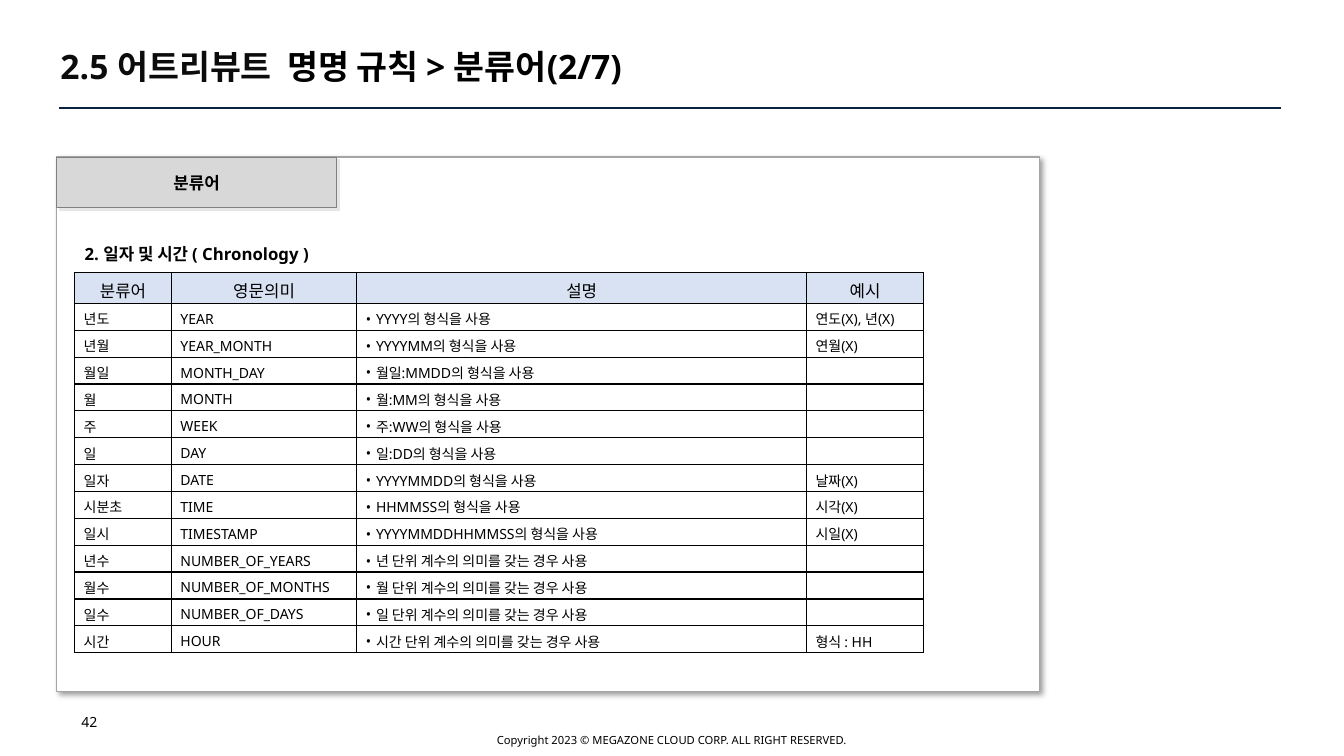
from lxml import etree
from pptx import Presentation
from pptx.dml.color import RGBColor
from pptx.enum.shapes import MSO_CONNECTOR, MSO_SHAPE
from pptx.enum.text import MSO_ANCHOR, MSO_AUTO_SIZE, PP_ALIGN
from pptx.oxml.ns import qn
from pptx.util import Inches, Pt

LEFT, CENTER = PP_ALIGN.LEFT, PP_ALIGN.CENTER
TOP, MIDDLE = MSO_ANCHOR.TOP, MSO_ANCHOR.MIDDLE
GROW, FIXED = MSO_AUTO_SIZE.SHAPE_TO_FIT_TEXT, MSO_AUTO_SIZE.NONE
STRAIGHT = MSO_CONNECTOR.STRAIGHT
ROUND, RECT = MSO_SHAPE.ROUNDED_RECTANGLE, MSO_SHAPE.RECTANGLE
BLACK = RGBColor(0x00, 0x00, 0x00)
INK = RGBColor(0x0C, 0x0C, 0x0C)
WHITE = RGBColor(0xFF, 0xFF, 0xFF)
NAVY = RGBColor(0x0A, 0x23, 0x42)
EDGE = RGBColor(0xA5, 0xA5, 0xA5)
GRAY = RGBColor(0xD8, 0xD8, 0xD8)
RIM = RGBColor(0x80, 0x80, 0x80)
SHADE = RGBColor(0xE7, 0xE6, 0xE6)
BLUE = RGBColor(0xD8, 0xE2, 0xF3)
LATIN, HANGUL = "Noto Sans", "Noto Sans CJK KR"


def write(para, text, size, bold=False, color=BLACK):
    run = para.add_run()
    run.text = text
    look = {"name": LATIN, "size": Pt(size), "bold": bold}
    for key, value in look.items():
        setattr(run.font, key, value)
    run.font.color.rgb = color
    east = etree.Element(qn("a:ea"), typeface=HANGUL)
    run.font._element.find(qn("a:latin")).addnext(east)


def indent(para):
    props = para._p.get_or_add_pPr()
    props.set("marL", str(Inches(0.1)))
    props.set("indent", str(-Inches(0.1)))
    return props


deck = Presentation()
deck.slide_width, deck.slide_height = Inches(13.33), Inches(7.5)
slide = deck.slides.add_slide(deck.slide_layouts[6])
shapes = slide.shapes

# Rule under the title
rule = shapes.add_connector(STRAIGHT, Inches(0.59), Inches(1.07), Inches(12.71), Inches(1.07))
rule.line.color.rgb = NAVY
rule.line.width = Pt(1.5)
etree.SubElement(rule._element.spPr, qn("a:effectLst"))

# Panel and its tag: kind, width, height, fill, line, shadow colour, opacity, blur, distance
boxes = [
    (ROUND, 9.75, 5.3, WHITE, EDGE, 1, BLACK, 40, 4, 3),
    (RECT, 2.78, 0.5, GRAY, RIM, 0.75, SHADE, 100, 0, 2.8),
]
for kind, width, height, fill, line, weight, shade, alpha, blur, dist in boxes:
    box = shapes.add_shape(kind, Inches(0.56), Inches(1.56), Inches(width), Inches(height))
    if kind == ROUND:
        box.adjustments[0] = 0
    box.fill.solid()
    box.fill.fore_color.rgb = fill
    box.line.color.rgb = line
    box.line.width = Pt(weight)
    box.shadow.inherit = False
    effect = box._element.spPr.find(qn("a:effectLst"))
    outer = etree.SubElement(effect, qn("a:outerShdw"), blurRad=str(Pt(blur)), dist=str(Pt(dist)),
                             dir="2700000", algn="tl", rotWithShape="0")
    tint = etree.SubElement(outer, qn("a:srgbClr"), val=str(shade))
    etree.SubElement(tint, qn("a:alpha"), val=str(alpha * 1000))

# Tag text goes in the last box
frame = box.text_frame
frame.word_wrap = True
frame.vertical_anchor = MIDDLE
frame.margin_left = frame.margin_right = 0
para = frame.paragraphs[0]
para.alignment = CENTER
indent(para)
write(para, "분류어", 12, True)

# Title, heading, page number and footer
labels = [
    ((0.6, 0.48, 12.11, 0.4), MIDDLE, FIXED, 0, LEFT, 0.9, 24, True,
     [("2.5 어트리뷰트  ", INK), ("명명 규칙 > 분류어(2/7)", BLACK)]),
    ((0.74, 2.37, 5.21, 0.3), TOP, GROW, 0.1, LEFT, 1, 12, True,
     [("2. 일자 및 시간 ( Chronology )", BLACK)]),
    ((0.71, 7.03, 3.69, 0.4), TOP, FIXED, 0.1, LEFT, 1, 10, False, [("42", BLACK)]),
    ((4.32, 7.13, 4.69, 0.3), MIDDLE, GROW, 0.1, CENTER, 2, 8, False,
     [("Copyright 2023 © MEGAZONE CLOUD CORP. ALL RIGHT RESERVED.", BLACK)]),
]
for place, anchor, fit, inset, align, space, size, bold, parts in labels:
    frame = shapes.add_textbox(*map(Inches, place)).text_frame
    look = {
        "word_wrap": True, "auto_size": fit, "vertical_anchor": anchor,
        "margin_left": Inches(inset), "margin_right": Inches(inset),
        "margin_top": Inches(inset / 2), "margin_bottom": Inches(inset / 2),
    }
    for key, value in look.items():
        setattr(frame, key, value)
    para = frame.paragraphs[0]
    para.alignment = align
    para.line_spacing = space
    for text, color in parts:
        write(para, text, size, bold, color)

# Table of date and time terms
FORM = "의 형식을 사용"
UNIT = " 단위 계수의 의미를 갖는 경우 사용"
terms = [
    ("분류어", "영문의미", "설명", "예시"),
    ("년도", "YEAR", "YYYY" + FORM, "연도(X), 년(X)"),
    ("년월", "YEAR_MONTH", "YYYYMM" + FORM, "연월(X)"),
    ("월일", "MONTH_DAY", "월일:MMDD" + FORM, ""),
    ("월", "MONTH", "월:MM" + FORM, ""),
    ("주", "WEEK", "주:WW" + FORM, ""),
    ("일", "DAY", "일:DD" + FORM, ""),
    ("일자", "DATE", "YYYYMMDD" + FORM, "날짜(X)"),
    ("시분초", "TIME", "HHMMSS" + FORM, "시각(X)"),
    ("일시", "TIMESTAMP", "YYYYMMDDHHMMSS" + FORM, "시일(X)"),
    ("년수", "NUMBER_OF_YEARS", "년" + UNIT, ""),
    ("월수", "NUMBER_OF_MONTHS", "월" + UNIT, ""),
    ("일수", "NUMBER_OF_DAYS", "일" + UNIT, ""),
    ("시간", "HOUR", "시간" + UNIT, "형식 : HH"),
]
widths = [0.96, 1.84, 4.46, 1.16]
HEAD, BODY = 0.31, 3.47
table = shapes.add_table(len(terms), len(widths), Inches(0.74), Inches(2.7),
                         Inches(sum(widths)), Inches(HEAD + BODY)).table
table.first_row = table.horz_banding = False
for column, width in zip(table.columns, widths):
    column.width = Inches(width)

pad = {"margin_left": Inches(0.09), "margin_right": Inches(0.09), "margin_top": Inches(0.05),
       "margin_bottom": Inches(0.01), "vertical_anchor": MIDDLE}
for r, term in enumerate(terms):
    table.rows[r].height = Inches(BODY / (len(terms) - 1) if r else HEAD)
    for c, text in enumerate(term):
        cell = table.cell(r, c)
        for key, value in pad.items():
            setattr(cell, key, value)
        # Borders come before the fill
        props = cell._tc.get_or_add_tcPr()
        for side in ("lnL", "lnR", "lnT", "lnB"):
            line = etree.SubElement(props, qn("a:" + side), w=str(Pt(1)))
            solid = etree.SubElement(line, qn("a:solidFill"))
            etree.SubElement(solid, qn("a:srgbClr"), val=str(BLACK))
        if r:
            cell.fill.background()
        else:
            cell.fill.solid()
            cell.fill.fore_color.rgb = BLUE
        para = cell.text_frame.paragraphs[0]
        para.alignment = LEFT if r else CENTER
        if r and c == 2:
            mark = indent(para)
            tint = etree.SubElement(mark, qn("a:buClr"))
            etree.SubElement(tint, qn("a:srgbClr"), val=str(BLACK))
            etree.SubElement(mark, qn("a:buFont"), typeface="Noto Sans")
            etree.SubElement(mark, qn("a:buChar"), char="•")
        if text:
            write(para, text, 10 if r else 12)
        else:
            etree.SubElement(para._p, qn("a:endParaRPr"), sz="1000")

deck.save("out.pptx")
